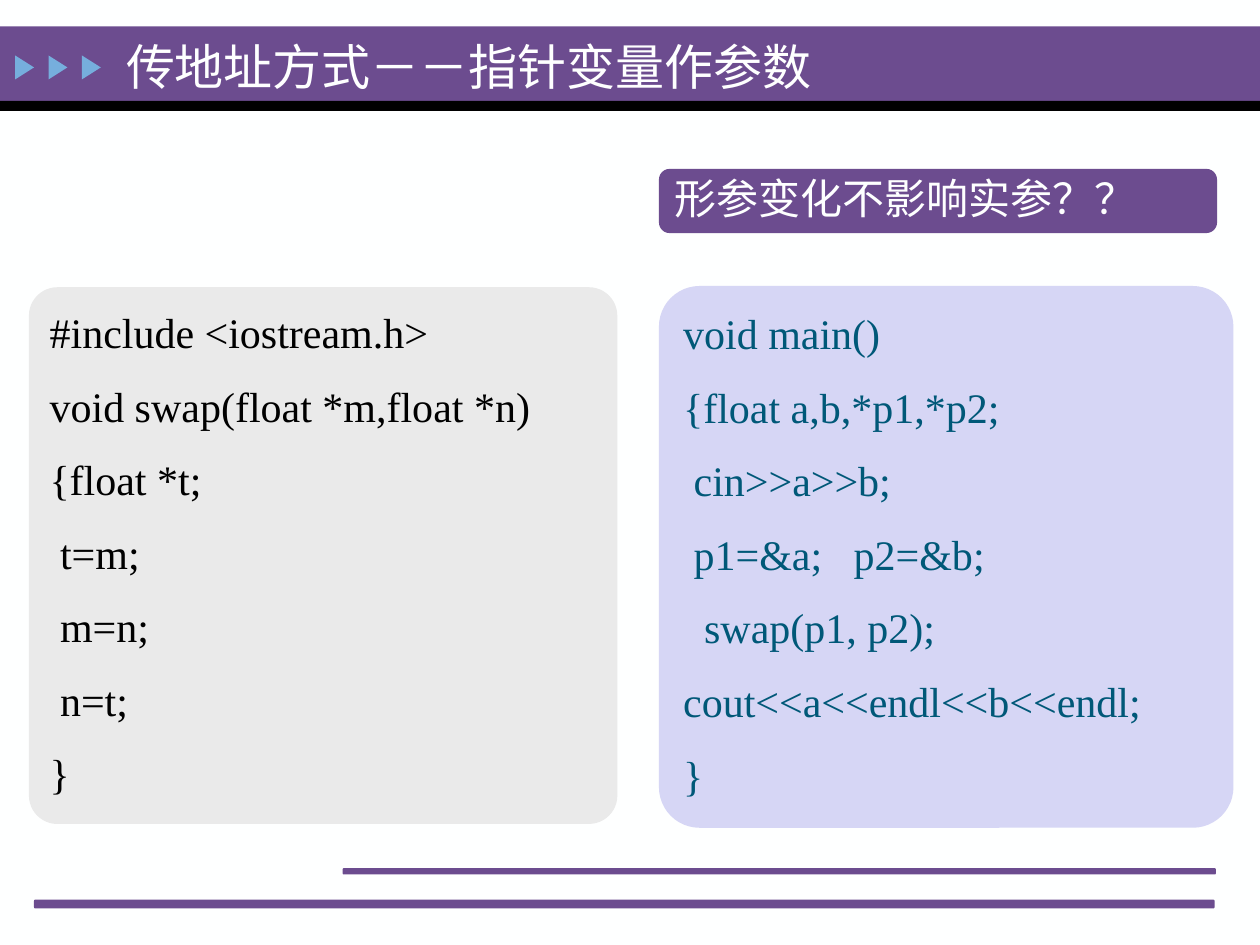
"""Build the slide on passing addresses with pointer parameters."""
from pptx import Presentation
from pptx.dml.color import RGBColor
from pptx.enum.shapes import MSO_SHAPE
from pptx.enum.text import MSO_ANCHOR, MSO_AUTO_SIZE, PP_ALIGN
from pptx.util import Inches, Pt

COLORS = {
    "paper": "FEFFFF", "purple": "6C4C8F", "black": "000000", "arrow": "76AEDD",
    "lilac": "D6D6F5", "grey": "EAEAEA", "teal": "005878",
}

SWAP_CODE = """#include <iostream.h>
void swap(float *m,float *n)
{float *t;
 t=m;
 m=n;
 n=t;
}"""

MAIN_CODE = """void main()
{float a,b,*p1,*p2;
 cin>>a>>b;
 p1=&a;   p2=&b;
  swap(p1, p2);
cout<<a<<endl<<b<<endl;
}"""


class SlideBuilder:
    """Holds the text style and the current slide."""

    font_name = "Times New Roman"

    def __init__(self, slide):
        self.slide = slide
        background = slide.background.fill
        background.solid()
        background.fore_color.rgb = self.color("paper")

    def color(self, name):
        """Return the named colour."""
        return RGBColor.from_string(COLORS[name])

    def block(self, kind, box, fill, radius=None):
        """Add a plain filled shape."""
        shape = self.slide.shapes.add_shape(kind, *map(Inches, box))
        shape.shadow.inherit = False
        shape.fill.solid()
        shape.fill.fore_color.rgb = self.color(fill)
        shape.line.fill.background()
        if radius is not None:
            shape.adjustments[0] = radius
        return shape

    def set_text(self, shape, text, size, color, anchor, top=0.0, gap=0.0, spacing=1.0):
        """Fill a shape with left-aligned lines of text."""
        frame = shape.text_frame
        frame.text = text
        frame_format = {
            "word_wrap": True, "auto_size": MSO_AUTO_SIZE.NONE,
            "vertical_anchor": anchor, "margin_left": Inches(0.1),
            "margin_right": Inches(0.1), "margin_top": Inches(top),
            "margin_bottom": 0,
        }
        for name, value in frame_format.items():
            setattr(frame, name, value)
        for index, paragraph in enumerate(frame.paragraphs):
            paragraph.alignment = PP_ALIGN.LEFT
            paragraph.line_spacing = spacing
            paragraph.space_before = Pt(gap if index else 0)
            for run in paragraph.runs:
                for name, value in {"name": self.font_name, "size": Pt(size)}.items():
                    setattr(run.font, name, value)
                run.font.color.rgb = self.color(color)

    def title(self, text, box):
        """Place the title in front of the banner."""
        title = self.slide.shapes.title
        for name, value in zip(("left", "top", "width", "height"), box):
            setattr(title, name, Inches(value))
        self.set_text(title, text, 28, "paper", MSO_ANCHOR.MIDDLE)
        title.element.getparent().append(title.element)

    def code_panel(self, text, box, fill, radius, color, top):
        """Add a rounded panel with a code listing."""
        panel = self.block(MSO_SHAPE.ROUNDED_RECTANGLE, box, fill, radius)
        self.set_text(panel, text, 24, color, MSO_ANCHOR.TOP, top=top, gap=13.2)

    def callout(self, text, box):
        """Add the question label."""
        label = self.block(MSO_SHAPE.ROUNDED_RECTANGLE, box, "purple", 0.167)
        self.set_text(label, text, 24, "paper", MSO_ANCHOR.MIDDLE, spacing=0.9)


def main():
    """Build and save the slide."""
    deck = Presentation()
    deck.slide_width, deck.slide_height = Inches(10), Inches(7.5)
    builder = SlideBuilder(deck.slides.add_slide(deck.slide_layouts[5]))

    builder.block(MSO_SHAPE.RECTANGLE, (0, 0.21, 10, 0.59), "purple")
    builder.block(MSO_SHAPE.RECTANGLE, (0, 0.8, 10, 0.08), "black")
    for index in range(3):
        arrow_box = (0.1 + 0.265 * index, 0.46, 0.19, 0.15)
        arrow = builder.block(MSO_SHAPE.ISOSCELES_TRIANGLE, arrow_box, "arrow")
        arrow.rotation = 90
    builder.title("传地址方式－－指针变量作参数", (0.9, 0.06, 7.58, 0.93))

    builder.code_panel(MAIN_CODE, (5.23, 2.27, 4.56, 4.3), "lilac", 0.075, "teal", 0.08)
    builder.code_panel(SWAP_CODE, (0.23, 2.28, 4.67, 4.26), "grey", 0.053, "black", 0.09)
    builder.callout("形参变化不影响实参？？", (5.23, 1.34, 4.43, 0.51))
    for rule_box in ((2.72, 6.89, 6.93, 0.05), (0.27, 7.14, 9.37, 0.07)):
        builder.block(MSO_SHAPE.ROUNDED_RECTANGLE, rule_box, "purple", 0.167)

    deck.save("out.pptx")


if __name__ == "__main__":
    main()
